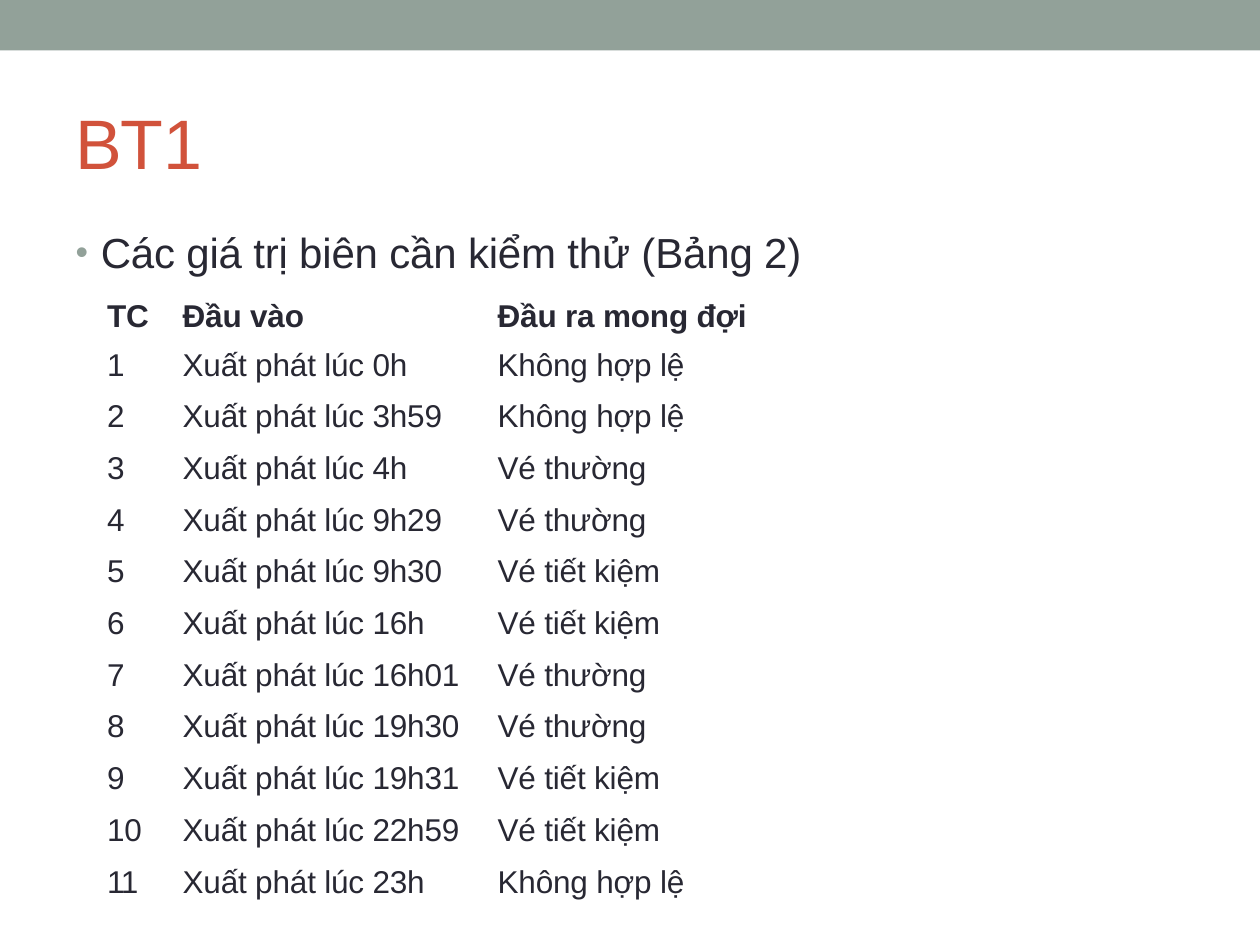
from lxml.etree import SubElement
from pptx import Presentation
from pptx.dml.color import RGBColor
from pptx.enum.shapes import MSO_SHAPE as Shape
from pptx.enum.text import MSO_ANCHOR as Anchor, MSO_AUTO_SIZE as AutoSize, PP_ALIGN as Align
from pptx.oxml.ns import qn
from pptx.util import Inches, Pt

# The slide is a grid of 100 columns by 75 rows
COLS, ROWS = 100, 75
CELL = Inches(0.1)
FONT = "Arial"
COLORS = {"band": "92A199", "title": "D1523B", "text": "282833"}

TABLE_COLS = [5, 24.9, 21.7]
INDENTS = [0.3, 1.3, 1.4]
HEADER = ("TC", "Đầu vào", "Đầu ra mong đợi")
INVALID, NORMAL, SAVER = "Không hợp lệ", "Vé thường", "Vé tiết kiệm"
CASES = [
    ("0h", INVALID), ("3h59", INVALID), ("4h", NORMAL), ("9h29", NORMAL),
    ("9h30", SAVER), ("16h", SAVER), ("16h01", NORMAL), ("19h30", NORMAL),
    ("19h31", SAVER), ("22h59", SAVER), ("23h", INVALID),
]


def grid(*values):
    return [round(v * CELL) for v in values]


def rgb(name):
    return RGBColor.from_string(COLORS[name])


def write(tf, runs, size=18, color="text", bold=False, indent=0, hang=0,
          bullet=None, line=None):
    """Fill the first paragraph with (text, letter spacing in points) runs."""
    p = tf.paragraphs[0]
    p.alignment = Align.LEFT
    p.space_before = Pt(0)
    if line:
        p.line_spacing = Pt(line)
    pPr = p._p.get_or_add_pPr()
    left, first = grid(indent, -hang)
    pPr.set("marL", str(left))
    pPr.set("indent", str(first))
    if bullet:
        clr = SubElement(pPr, qn("a:buClr"))
        SubElement(clr, qn("a:srgbClr"), val=COLORS["band"])
        SubElement(pPr, qn("a:buSzPct"), val="85000")
        SubElement(pPr, qn("a:buFont"), typeface=FONT)
        SubElement(pPr, qn("a:buChar"), char=bullet)
    for text, spacing in runs:
        r = p.add_run()
        r.text = text
        r.font.name, r.font.size, r.font.bold = FONT, Pt(size), bold
        r.font.color.rgb = rgb(color)
        r._r.get_or_add_rPr().set("spc", str(round(spacing * 100)))


def fit_frame(tf):
    tf.margin_left = tf.margin_right = tf.margin_bottom = 0
    tf.margin_top = Inches(0.01)
    tf.vertical_anchor = Anchor.TOP
    tf.word_wrap = True
    tf.auto_size = AutoSize.SHAPE_TO_FIT_TEXT


def add_band(s, box):
    sp = s.shapes.add_shape(Shape.RECTANGLE, *grid(*box))
    sp.shadow.inherit = False
    sp.fill.solid()
    sp.fill.fore_color.rgb = rgb("band")
    sp.line.fill.background()


def add_title(s, box):
    sp = s.shapes.title
    sp.left, sp.top, sp.width, sp.height = grid(*box)
    fit_frame(sp.text_frame)
    write(sp.text_frame, [("BT", -1), ("1", 0)], size=40, color="title", indent=0.1)


def add_lead(s, box):
    tf = s.shapes.add_textbox(*grid(*box)).text_frame
    fit_frame(tf)
    write(tf, [("Các giá trị biên cần kiểm thử (Bảng 2)", -0.1)], size=24,
          indent=2.1, hang=2, bullet="•")


def add_cases(s, box):
    rows = [HEADER] + [(str(n), f"Xuất phát lúc {time}", ticket)
                       for n, (time, ticket) in enumerate(CASES, 1)]
    last = len(rows) - 1
    table = s.shapes.add_table(len(rows), len(HEADER), *grid(*box)).table
    table.first_row = table.horz_banding = False
    for col, width in zip(table.columns, grid(*TABLE_COLS)):
        col.width = width
    for i, row in enumerate(rows):
        # The outer rows are lower and have a fixed line height
        outer = {0: 19.9, last: 20.8}.get(i)
        table.rows[i].height, = grid(3.4 if outer else 4.1)
        for j, text in enumerate(row):
            cell = table.cell(i, j)
            cell.fill.background()
            cell.margin_left = cell.margin_right = cell.margin_bottom = 0
            cell.margin_top = Inches(0.04) if i else 0
            spacing = -0.8 if text == "11" else -0.1
            write(cell.text_frame, [(text, spacing)], bold=i == 0,
                  indent=INDENTS[j], line=outer)


def main():
    prs = Presentation()
    prs.slide_width, prs.slide_height = grid(COLS, ROWS)
    s = prs.slides.add_slide(prs.slide_layouts[5])
    add_band(s, (0, 0, COLS, 4))
    add_title(s, (5.9, 7.8, 10.2, 6.9))
    add_lead(s, (5.9, 17.9, 58.4, 4.3))
    add_cases(s, (8.2, 23.8, sum(TABLE_COLS), 47.4))
    prs.save("out.pptx")


if __name__ == "__main__":
    main()
